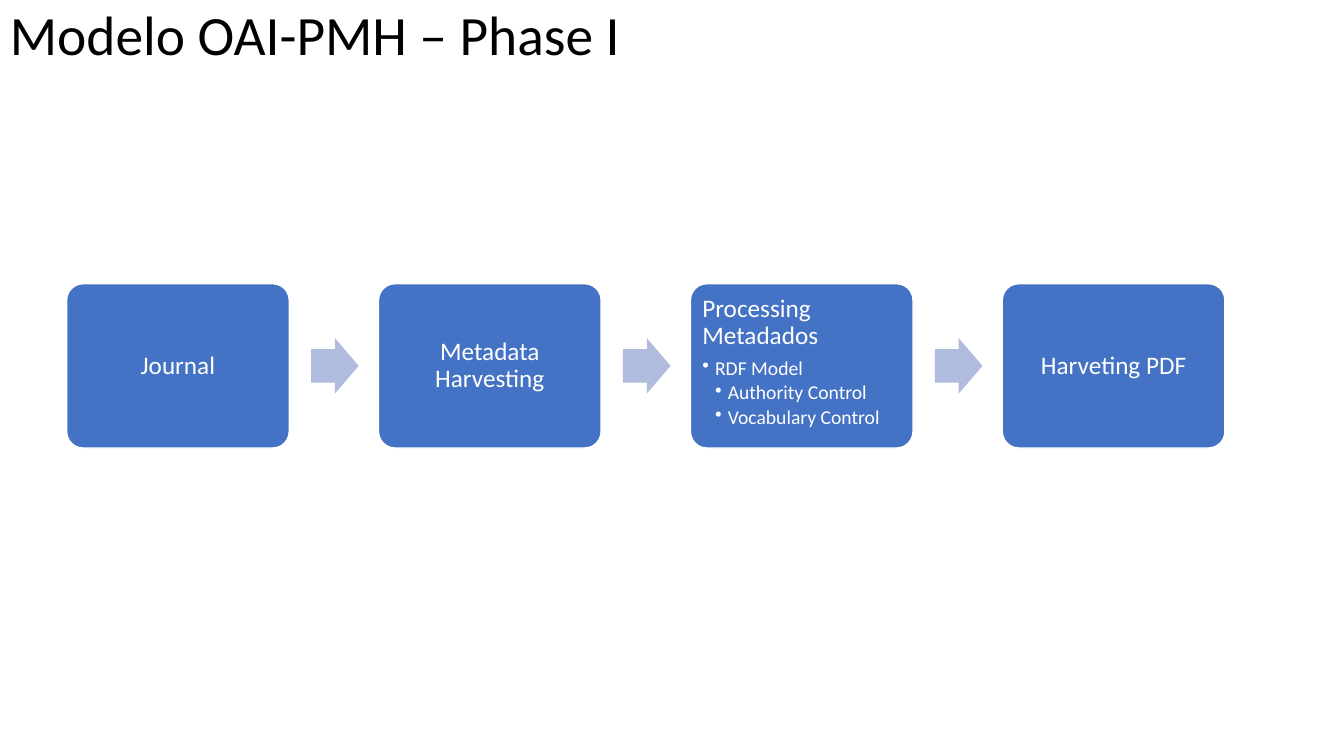
from dataclasses import dataclass

from lxml.etree import SubElement
from pptx import Presentation
from pptx.dml.color import RGBColor
from pptx.enum.shapes import MSO_SHAPE as Preset
from pptx.enum.text import MSO_ANCHOR as Anchor, PP_ALIGN as Align
from pptx.oxml.ns import qn
from pptx.shapes.autoshape import Shape
from pptx.slide import Slide
from pptx.text.text import TextFrame, _Paragraph as Paragraph
from pptx.util import Cm, Pt

BLACK = RGBColor(0x00, 0x00, 0x00)
WHITE = RGBColor(0xFF, 0xFF, 0xFF)
STEP_BLUE = RGBColor(0x44, 0x72, 0xC4)
ARROW_BLUE = RGBColor(0xB0, 0xBC, 0xDE)
FONT = "Calibri"

# Layout, in centimetres
SLIDE_WIDTH, SLIDE_HEIGHT = 33.87, 19.05
TITLE_HEIGHT = 1.88
STEP_LEFT, STEP_PITCH = 1.68, 7.86
STEP_WIDTH, STEP_HEIGHT = 5.61, 4.14
ARROW_GAP, ARROW_WIDTH, ARROW_HEIGHT = 0.55, 1.2, 1.4
MIDDLE = 9.22
STEP_INSET = 0.18
BULLET_INDENT = 0.32


@dataclass(frozen=True)
class Bullet:
    text: str
    level: int


@dataclass(frozen=True)
class Step:
    heading: str
    bullets: tuple[Bullet, ...] = ()


STEPS = (
    Step("Journal"),
    Step("Metadata Harvesting"),
    Step("Processing Metadados", (
        Bullet("RDF Model", 1),
        Bullet("Authority Control", 2),
        Bullet("Vocabulary Control", 2),
    )),
    Step("Harveting PDF"),
)


def add_text(paragraph: Paragraph, text: str, size: float, color: RGBColor,
             space_after: float = 0) -> None:
    paragraph.line_spacing = 0.9
    paragraph.space_after = Pt(space_after)
    run = paragraph.add_run()
    run.text = text
    run.font.name = FONT
    run.font.size = Pt(size)
    run.font.color.rgb = color


def add_bullet(frame: TextFrame, bullet: Bullet) -> None:
    paragraph = frame.add_paragraph()
    paragraph.alignment = Align.LEFT
    paragraph.level = bullet.level
    add_text(paragraph, bullet.text, 14, WHITE, space_after=2.1)
    properties = paragraph._p.get_or_add_pPr()
    properties.set("marL", str(Cm(BULLET_INDENT * bullet.level)))
    properties.set("indent", str(-Cm(BULLET_INDENT)))
    SubElement(properties, qn("a:buChar")).set("char", "•")


def add_block(slide: Slide, preset: Preset, left: float, width: float,
              height: float, fill: RGBColor) -> Shape:
    """Draw a filled shape centred on the row's middle line."""
    shape = slide.shapes.add_shape(
        preset, Cm(left), Cm(MIDDLE - height / 2), Cm(width), Cm(height))
    shape.shadow.inherit = False
    shape.fill.solid()
    shape.fill.fore_color.rgb = fill
    return shape


def add_step(slide: Slide, step: Step, left: float) -> None:
    shape = add_block(slide, Preset.ROUNDED_RECTANGLE, left,
                      STEP_WIDTH, STEP_HEIGHT, STEP_BLUE)
    shape.adjustments[0] = 0.1
    shape.line.color.rgb = WHITE
    shape.line.width = Pt(1)

    frame = shape.text_frame
    frame.word_wrap = True
    frame.margin_left = frame.margin_right = Cm(STEP_INSET)
    frame.margin_top = frame.margin_bottom = Cm(STEP_INSET)
    frame.vertical_anchor = Anchor.TOP if step.bullets else Anchor.MIDDLE
    heading = frame.paragraphs[0]
    heading.alignment = Align.LEFT if step.bullets else Align.CENTER
    add_text(heading, step.heading, 18, WHITE, space_after=6.3)
    for bullet in step.bullets:
        add_bullet(frame, bullet)


def add_arrow(slide: Slide, left: float) -> None:
    arrow = add_block(slide, Preset.RIGHT_ARROW, left,
                      ARROW_WIDTH, ARROW_HEIGHT, ARROW_BLUE)
    arrow.line.fill.background()
    arrow.adjustments[0] = 0.6
    arrow.adjustments[1] = 0.5


def add_title(slide: Slide, text: str) -> None:
    box = slide.shapes.add_textbox(0, 0, Cm(SLIDE_WIDTH), Cm(TITLE_HEIGHT))
    frame = box.text_frame
    frame.word_wrap = True
    frame.vertical_anchor = Anchor.MIDDLE
    add_text(frame.paragraphs[0], text, 39.6, BLACK)


def main() -> None:
    presentation = Presentation()
    presentation.slide_width = Cm(SLIDE_WIDTH)
    presentation.slide_height = Cm(SLIDE_HEIGHT)
    slide = presentation.slides.add_slide(presentation.slide_layouts[6])

    add_title(slide, "Modelo OAI-PMH – Phase I")

    # Process row: an arrow leads into every step but the first
    for index, step in enumerate(STEPS):
        left = STEP_LEFT + index * STEP_PITCH
        if index > 0:
            add_arrow(slide, left - STEP_PITCH + STEP_WIDTH + ARROW_GAP)
        add_step(slide, step, left)

    presentation.save("out.pptx")


if __name__ == "__main__":
    main()
